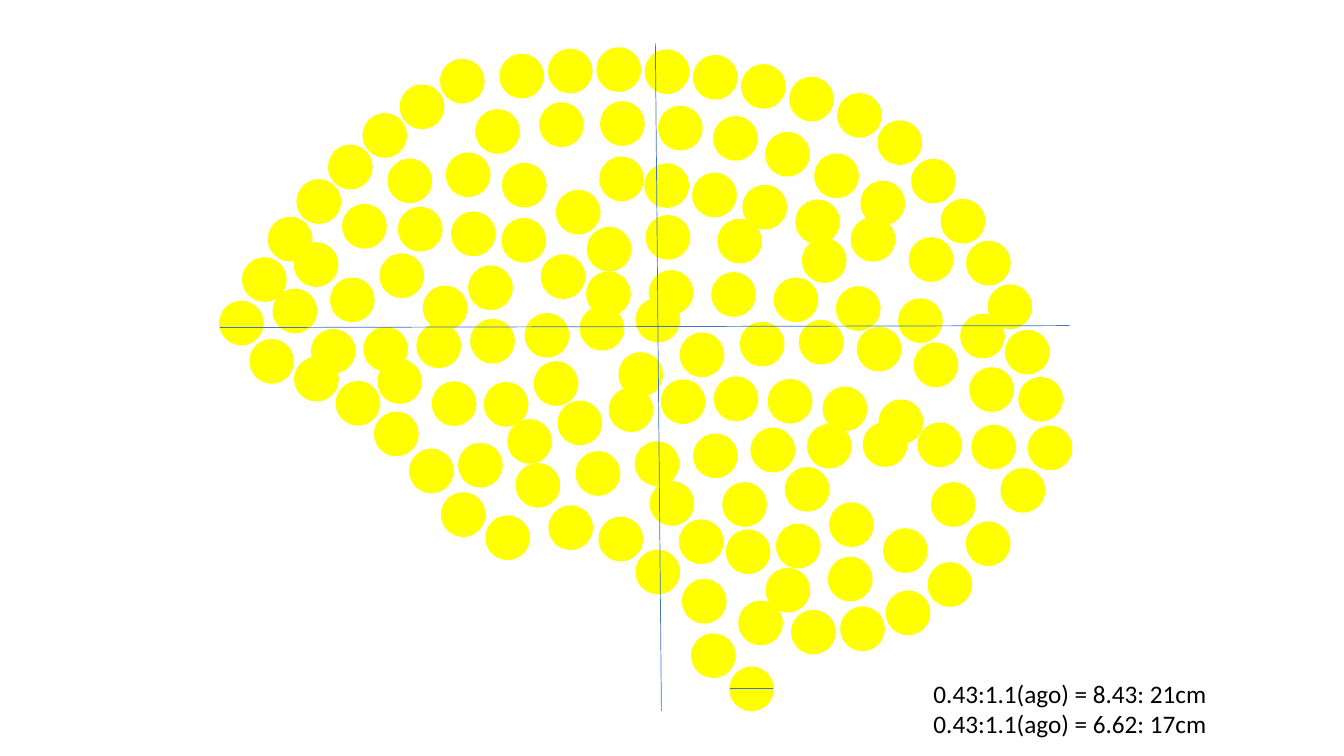
import pptx
import pptx.util
import pptx.dml.color
import pptx.enum.shapes
import pptx.enum.text
import pptx.oxml
import pptx.oxml.ns

COLORS = {"background": "FFFFFF", "dot": "FFFF00", "axis": "4472C4", "text": "000000"}
COLUMNS, ROWS = 1333, 750
DOT = 43

presentation = pptx.Presentation()
presentation.slide_width = pptx.util.Inches(13.33)
presentation.slide_height = pptx.util.Inches(7.5)
column = presentation.slide_width / COLUMNS
row = presentation.slide_height / ROWS
slide = presentation.slides.add_slide(presentation.slide_layouts[6])


def grid(*lengths):
    return [round(length * unit) for length, unit in zip(lengths, (column, row) * 2)]


def color(name):
    return pptx.dml.color.RGBColor.from_string(COLORS[name])


slide.background.fill.solid()
slide.background.fill.fore_color.rgb = color("background")

outline_arcs = [
    (8, (218, 299), (310, 161), (437, 59)),
    (8, (496, 54), (664, 52), (831, 93)),
    (8, (871, 120), (970, 261), (1020, 423)),
    (8, (993, 465), (857, 596), (677, 575)),
    (2, (686, 629), (705, 645), (724, 662)),
    (4, (631, 546), (571, 505), (482, 512)),
    (6, (438, 489), (353, 393), (248, 337)),
]
inner_arcs = [
    (8, (472, 109), (681, 110), (854, 180)),
    (4, (385, 158), (471, 155), (552, 189)),
    (7, (595, 156), (737, 184), (902, 236)),
    (4, (340, 203), (422, 208), (498, 217)),
    (5, (537, 253), (641, 214), (796, 237)),
    (3, (292, 241), (377, 252), (465, 264)),
    (7, (582, 270), (768, 276), (953, 312)),
    (3, (271, 287), (328, 276), (420, 284)),
    (7, (309, 327), (467, 317), (631, 296)),
    (4, (375, 357), (455, 382), (530, 359)),
    (7, (614, 350), (793, 318), (962, 365)),
    (9, (455, 440), (656, 377), (872, 397)),
    (9, (512, 460), (745, 425), (964, 422)),
    (3, (645, 478), (717, 479), (779, 464)),
    (4, (674, 516), (745, 525), (823, 499)),
    (4, (760, 564), (850, 541), (924, 479)),
]
for count, start, middle, end in outline_arcs + inner_arcs:
    for index in range(count):
        share = index / (count - 1)
        weights = (
            (1 - share) * (1 - 2 * share),
            4 * share * (1 - share),
            share * (2 * share - 1),
        )
        left, top = [
            sum(weight * place for weight, place in zip(weights, places))
            for places in zip(start, middle, end)
        ]
        dot = slide.shapes.add_shape(
            pptx.enum.shapes.MSO_SHAPE.OVAL, *grid(left, top, DOT, DOT)
        )
        dot.shadow.inherit = False
        dot.fill.solid()
        dot.fill.fore_color.rgb = color("dot")
        dot.line.color.rgb = color("dot")
        dot.line.width = pptx.util.Pt(1)

axes = [(218, 325, 1061, 323), (650, 43, 656, 705), (724, 683, 767, 683)]
for ends in axes:
    axis = slide.shapes.add_connector(
        pptx.enum.shapes.MSO_CONNECTOR.STRAIGHT, *grid(*ends)
    )
    axis.line.color.rgb = color("axis")
    axis.line.width = pptx.util.Pt(0.5)
    axis._element.spPr.append(pptx.oxml.parse_xml(
        "<a:effectLst %s/>" % pptx.oxml.ns.nsdecls("a")
    ))

scale_box = slide.shapes.add_textbox(*grid(916, 668, 294, 71))
scale_text = scale_box.text_frame
scale_text.word_wrap = False
scale_text.auto_size = pptx.enum.text.MSO_AUTO_SIZE.SHAPE_TO_FIT_TEXT
scale_lines = ["0.43:1.1(ago) = 8.43: 21cm", "0.43:1.1(ago) = 6.62: 17cm"]
for index, scale_line in enumerate(scale_lines):
    paragraph = scale_text.add_paragraph() if index else scale_text.paragraphs[0]
    run = paragraph.add_run()
    run.text = scale_line
    run.font.name = "Calibri"
    run.font.size = pptx.util.Pt(18)
    run.font.color.rgb = color("text")

presentation.save("out.pptx")
